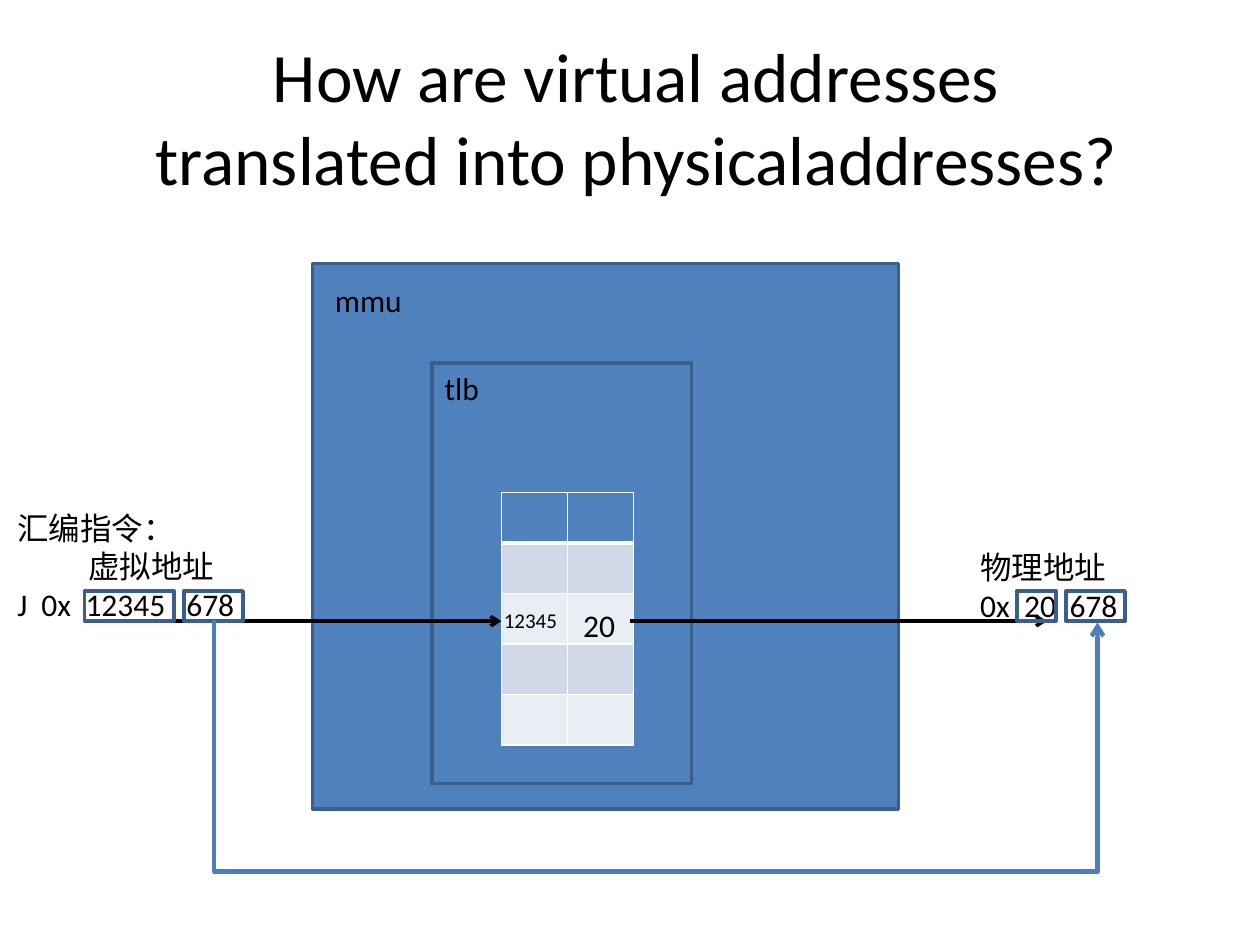
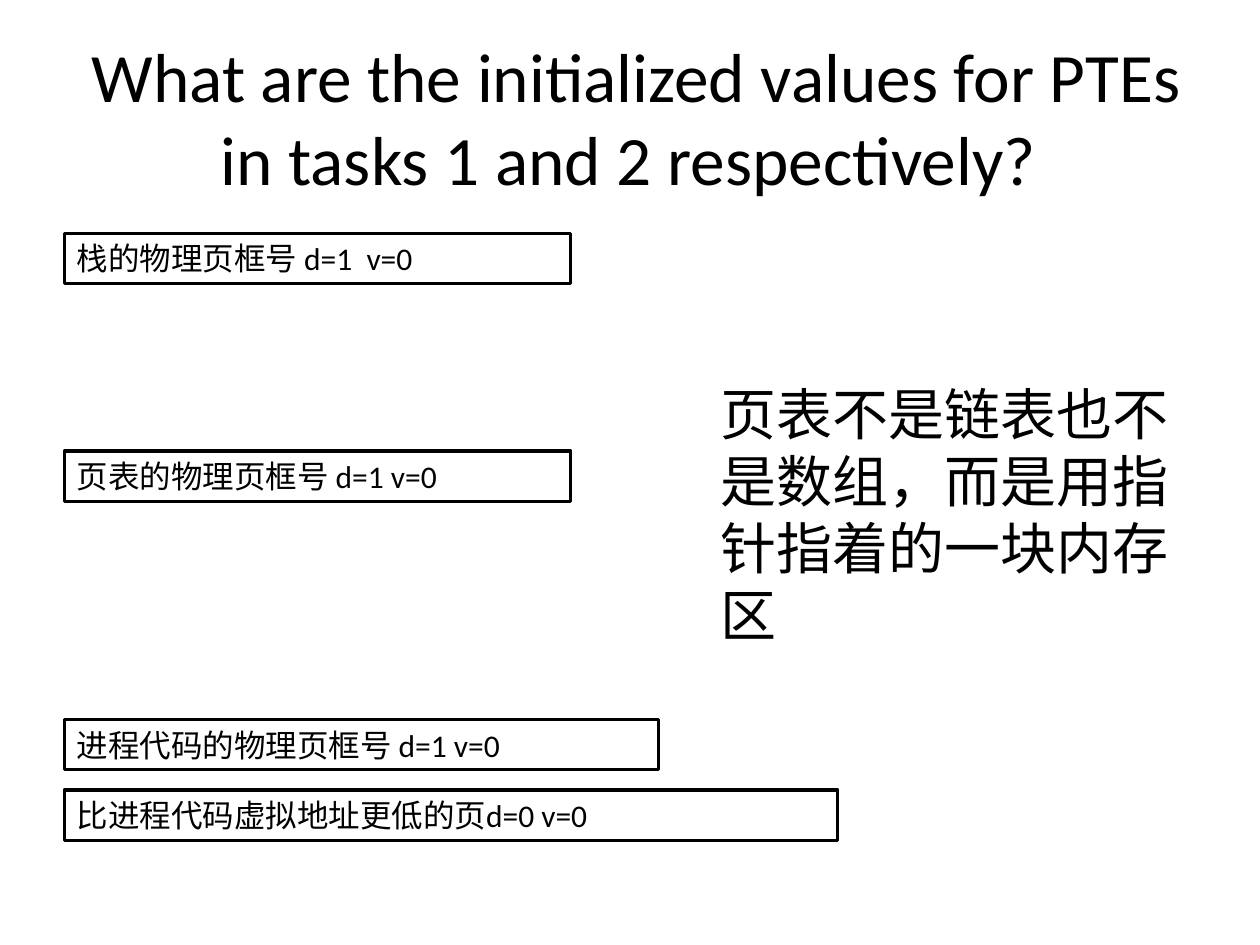
from lxml.etree import SubElement
from pptx import Presentation
from pptx.dml.color import RGBColor
from pptx.enum.shapes import MSO_CONNECTOR, MSO_SHAPE
from pptx.enum.text import MSO_ANCHOR, PP_ALIGN
from pptx.oxml import parse_xml
from pptx.oxml.ns import nsdecls, qn
from pptx.util import Inches, Pt

BLACK, WHITE = "000000", "FFFFFF"
BLUE, OUTLINE, ARROW_BLUE = "4F81BD", "3A5F8C", "4B7EBC"
BAND_DARK, BAND_LIGHT = "D0D8E8", "E9EDF4"


def color(value):
    return RGBColor.from_string(value)


class Deck:
    """Holds the shared style and the slide being drawn."""

    font = "Calibri"
    body_size = 18
    title_size = 39.6

    def __init__(self):
        self.deck = Presentation()
        self.deck.slide_width, self.deck.slide_height = Inches(10), Inches(7.5)
        self.slide = None

    def start(self, title):
        self.slide = self.deck.slides.add_slide(self.deck.slide_layouts[6])
        heading = self.text(title, 0.5, 0.3, 9, 1.25, self.title_size)
        heading.text_frame.vertical_anchor = MSO_ANCHOR.MIDDLE
        heading.text_frame.paragraphs[0].alignment = PP_ALIGN.CENTER

    def fill_text(self, frame, text, size):
        frame.word_wrap = True
        frame.text = text
        for paragraph in frame.paragraphs:
            paragraph.alignment = PP_ALIGN.LEFT
            paragraph.font.name = self.font
            paragraph.font.size = Pt(size)
            paragraph.font.color.rgb = color(BLACK)

    def text(self, text, left, top, width, height, size=body_size):
        label = self.slide.shapes.add_textbox(
            Inches(left), Inches(top), Inches(width), Inches(height))
        self.fill_text(label.text_frame, text, size)
        label.text_frame.margin_right = 0
        return label

    def indent(self, paragraph, distance):
        paragraph._p.get_or_add_pPr().set("marL", str(Inches(distance)))

    def tabs(self, paragraph, stops):
        properties = paragraph._p.get_or_add_pPr()
        tab_list = parse_xml(f"<a:tabLst {nsdecls('a')}/>")
        for stop in stops:
            SubElement(tab_list, qn("a:tab"), pos=str(Inches(stop)), algn="l")
        properties.insert_element_before(tab_list, "a:defRPr", "a:extLst")

    def box(self, left, top, width, height, fill=None, line=OUTLINE, weight=2, text=None):
        box = self.slide.shapes.add_shape(
            MSO_SHAPE.RECTANGLE, Inches(left), Inches(top), Inches(width), Inches(height))
        box.shadow.inherit = False
        if fill:
            box.fill.solid()
            box.fill.fore_color.rgb = color(fill)
        else:
            box.fill.background()
        box.line.color.rgb = color(line)
        box.line.width = Pt(weight)
        if text:
            self.fill_text(box.text_frame, text, self.body_size)

    def connector(self, kind, start, end, line, weight):
        arrow = self.slide.shapes.add_connector(
            kind, *(Inches(value) for value in start + end))
        arrow.line.color.rgb = color(line)
        arrow.line.width = Pt(weight)
        SubElement(arrow.line._get_or_add_ln(), qn("a:tailEnd"), type="arrow")
        SubElement(arrow._element.spPr, qn("a:effectLst"))
        return arrow

    def arrow(self, left, right, y):
        self.connector(MSO_CONNECTOR.STRAIGHT, (left, y), (right, y), BLACK, 2)

    def loop_arrow(self, left, right, start_y, end_y, bottom):
        """Draw a quarter-turned elbow that dips to bottom between its ends."""
        middle_x, middle_y = (left + right) / 2, (start_y + end_y) / 2
        half_rise, half_span = (end_y - start_y) / 2, (right - left) / 2
        loop = self.connector(
            MSO_CONNECTOR.ELBOW,
            (middle_x + half_rise, middle_y - half_span),
            (middle_x - half_rise, middle_y + half_span), ARROW_BLUE, 2.5)
        properties = loop._element.spPr
        properties.find(qn("a:xfrm")).set("rot", str(270 * 60000))
        dip = round((bottom - start_y) / (end_y - start_y) * 100000)
        guides = properties.find(qn("a:prstGeom")).get_or_add_avLst()
        SubElement(guides, qn("a:gd"), name="adj1", fmla=f"val {dip}")

    def borders(self, cell, **weights):
        properties = cell._tc.get_or_add_tcPr()
        for index, (side, weight) in enumerate(weights.items()):
            properties.insert(index, parse_xml(
                f'<a:ln{side} {nsdecls("a")} w="{Pt(weight)}"><a:solidFill>'
                f'<a:srgbClr val="{WHITE}"/></a:solidFill></a:ln{side}>'))

    def table(self, left, top, width, height, fills, columns):
        grid = self.slide.shapes.add_table(
            len(fills), columns, Inches(left), Inches(top),
            Inches(width), Inches(height)).table
        for row, fill in enumerate(fills):
            for column in range(columns):
                cell = grid.cell(row, column)
                cell.fill.solid()
                cell.fill.fore_color.rgb = color(fill)
                self.borders(cell, L=1, R=1, T=3 if row == 1 else 1, B=3 if row == 0 else 1)
                cell.text_frame.paragraphs[0].font.size = Pt(self.body_size)

    def save(self):
        self.deck.save("out.pptx")


def translation(deck):
    deck.start("How are virtual addresses\v translated into physicaladdresses? ")
    instruction = deck.text("汇编指令：\n虚拟地址\nJ\t0x\t12345\t678",
                            0.04, 3.99, 1.95, 1.01)
    _, caption, address = instruction.text_frame.paragraphs
    deck.indent(caption, 0.56)
    deck.tabs(address, (0.19, 0.54, 1.34))

    deck.box(2.48, 2.09, 4.65, 4.33, BLUE)
    deck.box(3.43, 2.88, 2.06, 3.34, BLUE)
    deck.text("mmu", 2.56, 2.18, 0.97, 0.4)
    deck.text("tlb", 3.43, 2.88, 0.63, 0.4)
    deck.table(3.98, 3.91, 1.05, 2, (BLUE,) + (BAND_DARK, BAND_LIGHT) * 2, 2)

    for left, right in ((0.67, 3.98), (5, 8.31)):
        deck.arrow(left, right, 4.93)
    deck.text("12345", 3.9, 4.77, 0.63, 0.3, 12)
    deck.text("20", 4.53, 4.76, 0.46, 0.4)

    physical = deck.text("物理地址\n0x\t20\t678", 7.68, 4.3, 1.31, 0.71)
    deck.tabs(physical.text_frame.paragraphs[1], (0.35, 0.71))
    for left, width in ((0.67, 0.71), (1.46, 0.47), (8.07, 0.31), (8.46, 0.47)):
        deck.box(left, 4.69, width, 0.24)
    deck.loop_arrow(1.7, 8.71, 4.92, 4.94, 6.91)


def page_table(deck):
    deck.start("What are the initialized values for PTEs in tasks 1 and 2 respectively? ")
    remark = deck.text("页表不是链表也不是数组，而是用指针指着的一块内存区",
                       5.24, 2.96, 4.26, 3.74, 32)
    deck.indent(remark.text_frame.paragraphs[0], 0.38)
    entries = (
        (6.27, 6.14, "比进程代码虚拟地址更低的页d=0 v=0"),
        (5.71, 4.72, "进程代码的物理页框号 d=1 v=0"),
        (3.58, 4.02, "页表的物理页框号 d=1 v=0"),
        (1.85, 4.02, "栈的物理页框号 d=1  v=0"),
    )
    for top, width, entry in entries:
        deck.box(0.51, top, width, 0.4, line=BLACK, weight=1.75, text=entry)


deck = Deck()
translation(deck)
page_table(deck)
deck.save()
